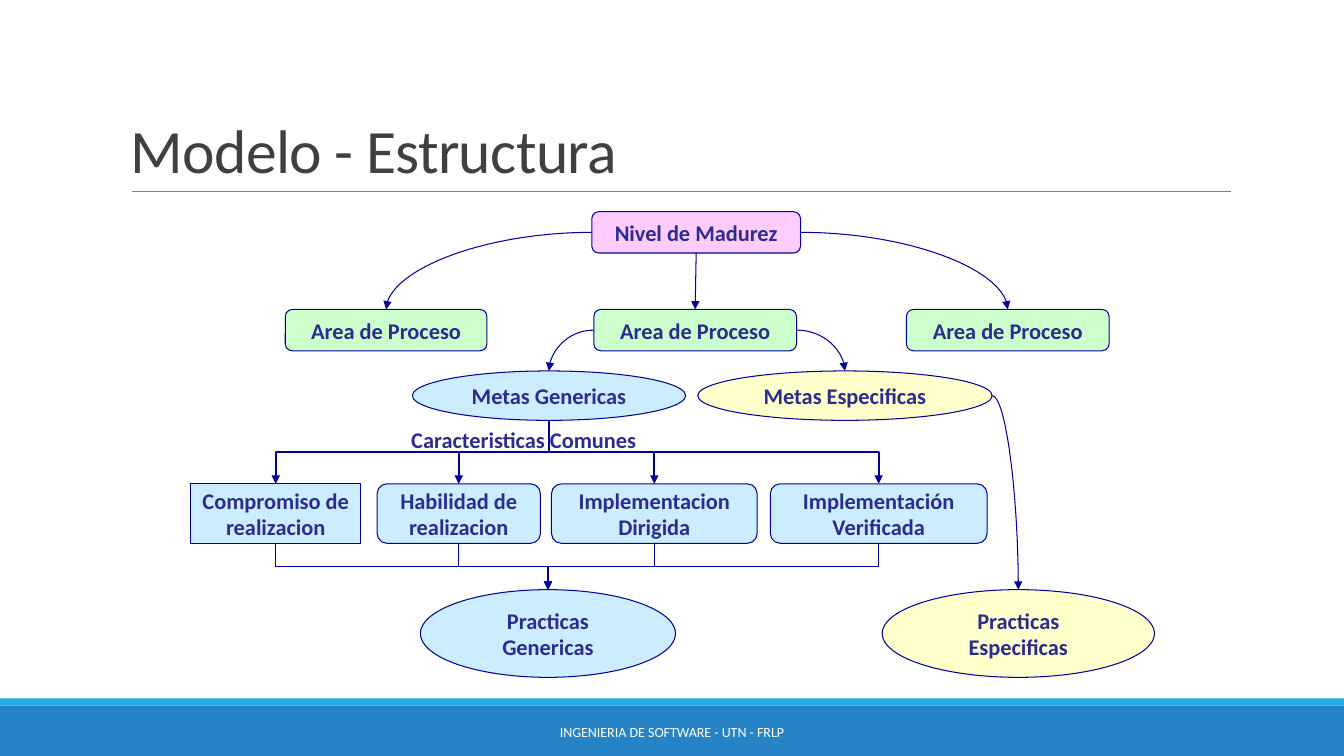
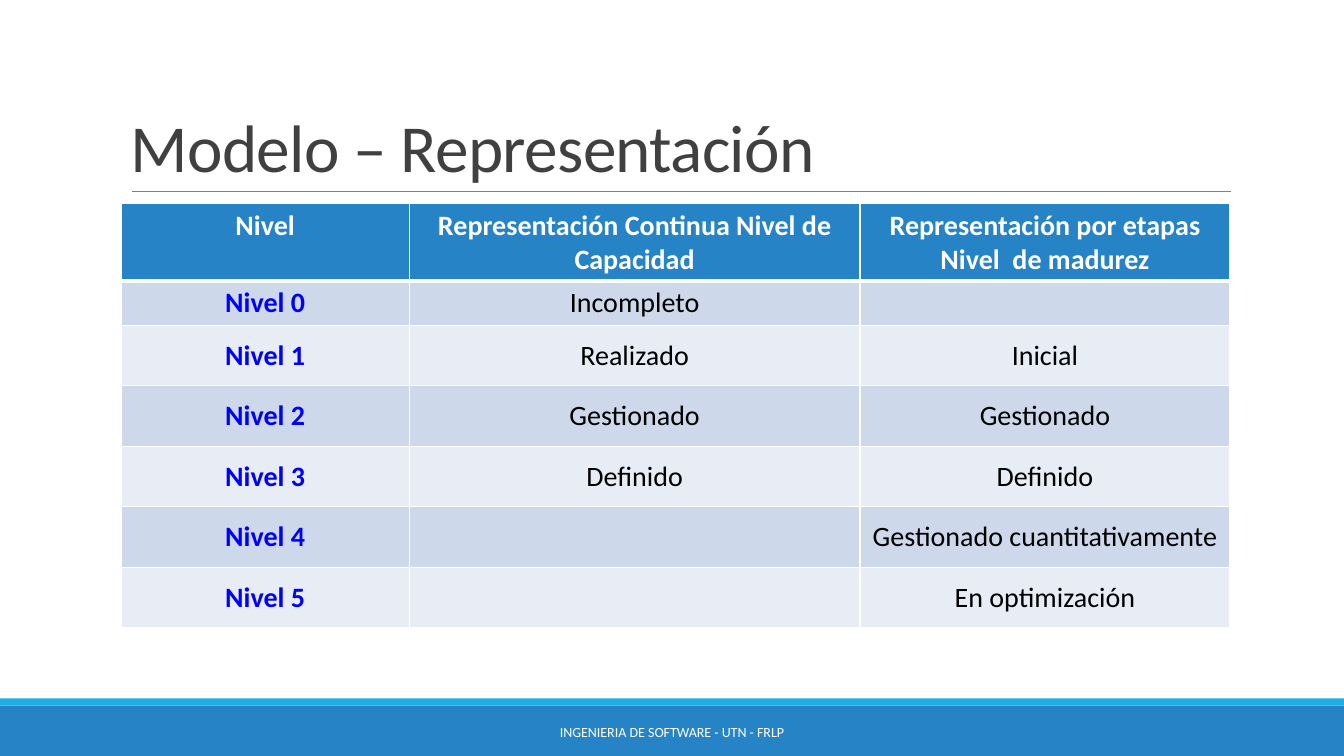
import pptx
import pptx.util
from pptx.dml.color import RGBColor
from pptx.enum.shapes import MSO_CONNECTOR, MSO_SHAPE
from pptx.enum.text import MSO_ANCHOR, PP_ALIGN
from pptx.oxml.ns import qn
from lxml import etree

Inches, Pt = pptx.util.Inches, pptx.util.Pt


class Theme:
    font = "Calibri"
    white, black, title, rule = "FFFFFF", "000000", "404040", "808080"
    blue, cyan, level = "2683C6", "1CADE4", "0000FF"
    stripes = ("CDD9EA", "E8EDF5")
    node_text, node_line = "2C2C8E", "000099"
    pink, green, sky, cream = "FFCCFF", "CCFFCC", "CCECFF", "FFFFCC"
    node_size, table_size, footer_size = 16, 20, 10


FOOTER = "INGENIERIA DE SOFTWARE - UTN - FRLP"
COMMON_LABEL = "Caracteristicas Comunes"

ROUND, OVAL, RECT = MSO_SHAPE.ROUNDED_RECTANGLE, MSO_SHAPE.OVAL, MSO_SHAPE.RECTANGLE

# Each row: top, height, wrap, nodes as (key, text, shape, left, width, fill)
NODE_ROWS = [
    (2.1, 0.41, False, [("nivel", "Nivel de Madurez", ROUND, 5.87, 2.07, Theme.pink)]),
    (3.07, 0.41, False, [
        ("area_izq", "Area de Proceso", ROUND, 2.83, 2, Theme.green),
        ("area", "Area de Proceso", ROUND, 5.89, 2.01, Theme.green),
        ("area_der", "Area de Proceso", ROUND, 8.99, 2.01, Theme.green),
    ]),
    (3.68, 0.49, False, [
        ("metas_gen", "Metas Genericas", OVAL, 4.09, 2.71, Theme.sky),
        ("metas_esp", "Metas Especificas", OVAL, 6.92, 2.92, Theme.cream),
    ]),
    (4.8, 0.59, True, [
        ("compromiso", "Compromiso de realizacion", RECT, 1.89, 1.69, Theme.sky),
        ("habilidad", "Habilidad de realizacion", ROUND, 3.74, 1.62, Theme.sky),
        ("dirigida", "Implementacion Dirigida", ROUND, 5.47, 2.04, Theme.sky),
        ("verificada", "Implementación Verificada", ROUND, 7.64, 2.15, Theme.sky),
    ]),
    (5.85, 0.87, True, [
        ("pract_gen", "Practicas Genericas", OVAL, 4.17, 2.53, Theme.sky),
        ("pract_esp", "Practicas Especificas", OVAL, 8.75, 2.7, Theme.cream),
    ]),
]

COMMON_FEATURES = ["compromiso", "habilidad", "dirigida", "verificada"]

# Side of the first node from which the curve leaves, ending on top of the second
CURVES = [
    ("nivel", "left", "area_izq"),
    ("nivel", "right", "area_der"),
    ("area", "left", "metas_gen"),
    ("area", "right", "metas_esp"),
    ("metas_esp", "right", "pract_esp"),
]

TABLE_COLS = [2.86, 4.47, 3.67]
TABLE_ROW_HEIGHTS = [0.76, 0.44] + [0.6] * 5
TABLE = [
    ("Nivel", "Representación Continua Nivel de Capacidad",
     "Representación por etapas Nivel  de madurez"),
    ("Nivel 0", "Incompleto", ""),
    ("Nivel 1", "Realizado", "Inicial"),
    ("Nivel 2", "Gestionado", "Gestionado"),
    ("Nivel 3", "Definido", "Definido"),
    ("Nivel 4", "", "Gestionado cuantitativamente"),
    ("Nivel 5", "", "En optimización"),
]


def rgb(color):
    return RGBColor.from_string(color)


def write(tf, text, size, color, bold=False, align=PP_ALIGN.CENTER):
    p = tf.paragraphs[0]
    p.alignment = align
    r = p.add_run()
    r.text = text
    r.font.name, r.font.size, r.font.bold = Theme.font, Pt(size), bold
    r.font.color.rgb = rgb(color)
    return p, r


def add_text(s, box, text, size, color, anchor=MSO_ANCHOR.TOP, **style):
    tf = s.shapes.add_textbox(*map(Inches, box)).text_frame
    tf.word_wrap, tf.vertical_anchor = True, anchor
    return write(tf, text, size, color, **style)


def add_filled(s, kind, box, fill, line=None):
    sp = s.shapes.add_shape(kind, *map(Inches, box))
    sp.shadow.inherit = False
    sp.fill.solid()
    sp.fill.fore_color.rgb = rgb(fill)
    if line:
        sp.line.color.rgb, sp.line.width = rgb(line), Pt(0.75)
    else:
        sp.line.fill.background()
    return sp


def add_line(s, kind, begin, end, color, width):
    cxn = s.shapes.add_connector(kind, *begin, *end)
    cxn.line.color.rgb, cxn.line.width = rgb(color), Pt(width)
    etree.SubElement(cxn._element.spPr, qn("a:effectLst"))
    return cxn


def add_slide(prs, title, size):
    """Add a slide with the shared bands, rule, title and footer."""
    s = prs.slides.add_slide(prs.slide_layouts[6])
    add_filled(s, RECT, (0, 7, 13.33, 0.5), Theme.blue)
    add_filled(s, RECT, (0, 6.93, 13.33, 0.07), Theme.cyan)
    y = Inches(1.9)
    add_line(s, MSO_CONNECTOR.STRAIGHT, (Inches(1.31), y), (Inches(12.21), y), Theme.rule, 0.5)
    p, r = add_text(s, (1.2, 0.31, 11, 1.59), title, size, Theme.title,
                    MSO_ANCHOR.BOTTOM, align=PP_ALIGN.LEFT)
    p.line_spacing = 0.85
    r._r.get_or_add_rPr().set("spc", "-50")
    add_text(s, (4.03, 7.06, 5.27, 0.4), FOOTER, Theme.footer_size, Theme.white,
             MSO_ANCHOR.MIDDLE)
    return s


def site(sp, side):
    """Return the point in the middle of a side and its connection site index."""
    mid_x, mid_y = sp.left + sp.width // 2, sp.top + sp.height // 2
    points = {
        "top": (mid_x, sp.top),
        "left": (sp.left, mid_y),
        "bottom": (mid_x, sp.top + sp.height),
        "right": (sp.left + sp.width, mid_y),
    }
    step = 2 if sp.auto_shape_type == OVAL else 1  # ovals also have diagonal sites
    return points[side], list(points).index(side) * step


def add_arrow(s, kind, source, side, target, width=0.75):
    """Join a side of source to the top of target, attached at both ends."""
    begin, begin_idx = site(source, side)
    end, end_idx = site(target, "top")
    rotation = 0
    start, stop = begin, end
    if kind == MSO_CONNECTOR.ELBOW:
        # Leaves downwards: lay the box on its side around the same centre
        dx, dy = abs(end[0] - begin[0]), end[1] - begin[1]
        left = (begin[0] + end[0] - dy) // 2
        top = (begin[1] + end[1] - dx) // 2
        start, stop = (left, top), (left + dy, top + dx)
        rotation = 90
        if end[0] > begin[0]:
            start, stop = (left + dy, top), (left, top + dx)
            rotation = 270
    cxn = add_line(s, kind, start, stop, Theme.node_line, width)
    el = cxn._element
    if rotation:
        el.spPr.find(qn("a:xfrm")).set("rot", str(rotation * 60000))
    if kind == MSO_CONNECTOR.CURVE:
        el.spPr.find(qn("a:prstGeom")).set("prst", "curvedConnector2")
    etree.SubElement(el.spPr.find(qn("a:ln")), qn("a:tailEnd"), type="triangle")
    ends = el.find(qn("p:nvCxnSpPr")).find(qn("p:cNvCxnSpPr"))
    for tag, sp, idx in (("a:stCxn", source, begin_idx), ("a:endCxn", target, end_idx)):
        etree.SubElement(ends, qn(tag), id=str(sp.shape_id), idx=str(idx))


def build_structure(prs):
    s = add_slide(prs, "Modelo - Estructura", 44)
    nodes = {}
    for top, height, wrap, row in NODE_ROWS:
        for key, text, kind, left, width, fill in row:
            sp = add_filled(s, kind, (left, top, width, height), fill, Theme.node_line)
            tf = sp.text_frame
            tf.word_wrap, tf.vertical_anchor = wrap, MSO_ANCHOR.MIDDLE
            write(tf, text, Theme.node_size, Theme.node_text, bold=True)
            nodes[key] = sp
    add_text(s, (3.46, 4.18, 3.47, 0.37), COMMON_LABEL, Theme.node_size,
             Theme.node_text, bold=True)

    add_arrow(s, MSO_CONNECTOR.STRAIGHT, nodes["nivel"], "bottom", nodes["area"])
    for source, side, target in CURVES:
        add_arrow(s, MSO_CONNECTOR.CURVE, nodes[source], side, nodes[target])
    for key in COMMON_FEATURES:
        add_arrow(s, MSO_CONNECTOR.ELBOW, nodes["metas_gen"], "bottom", nodes[key], 1.5)
        add_arrow(s, MSO_CONNECTOR.ELBOW, nodes[key], "bottom", nodes["pract_gen"])


def set_borders(cell, **widths):
    tcPr = cell._tc.get_or_add_tcPr()
    for edge in "LRTB":
        ln = etree.SubElement(tcPr, qn(f"a:ln{edge}"), w=str(Pt(widths.get(edge, 1))))
        fill = etree.SubElement(ln, qn("a:solidFill"))
        etree.SubElement(fill, qn("a:srgbClr"), val=Theme.white)


def build_representation(prs):
    s = add_slide(prs, "Modelo – Representación", 48)
    box = (1.2, 2.02, sum(TABLE_COLS), sum(TABLE_ROW_HEIGHTS))
    table = s.shapes.add_table(len(TABLE), len(TABLE_COLS), *map(Inches, box)).table
    table.horz_banding = False
    for col, width in zip(table.columns, TABLE_COLS):
        col.width = Inches(width)
    for i, (row, height) in enumerate(zip(TABLE, TABLE_ROW_HEIGHTS)):
        table.rows[i].height = Inches(height)
        header = i == 0
        for j, text in enumerate(row):
            cell = table.cell(i, j)
            set_borders(cell, T=3 if i == 1 else 1, B=3 if header else 1)
            cell.fill.solid()
            cell.fill.fore_color.rgb = rgb(Theme.blue if header else Theme.stripes[(i - 1) % 2])
            cell.vertical_anchor = MSO_ANCHOR.TOP if header else MSO_ANCHOR.MIDDLE
            color = Theme.white if header else Theme.black if j else Theme.level
            if text:
                write(cell.text_frame, text, Theme.table_size, color, bold=header or j == 0)


def main():
    prs = pptx.Presentation()
    prs.slide_width, prs.slide_height = Inches(13.33), Inches(7.5)
    build_structure(prs)
    build_representation(prs)
    prs.save("out.pptx")


if __name__ == "__main__":
    main()
